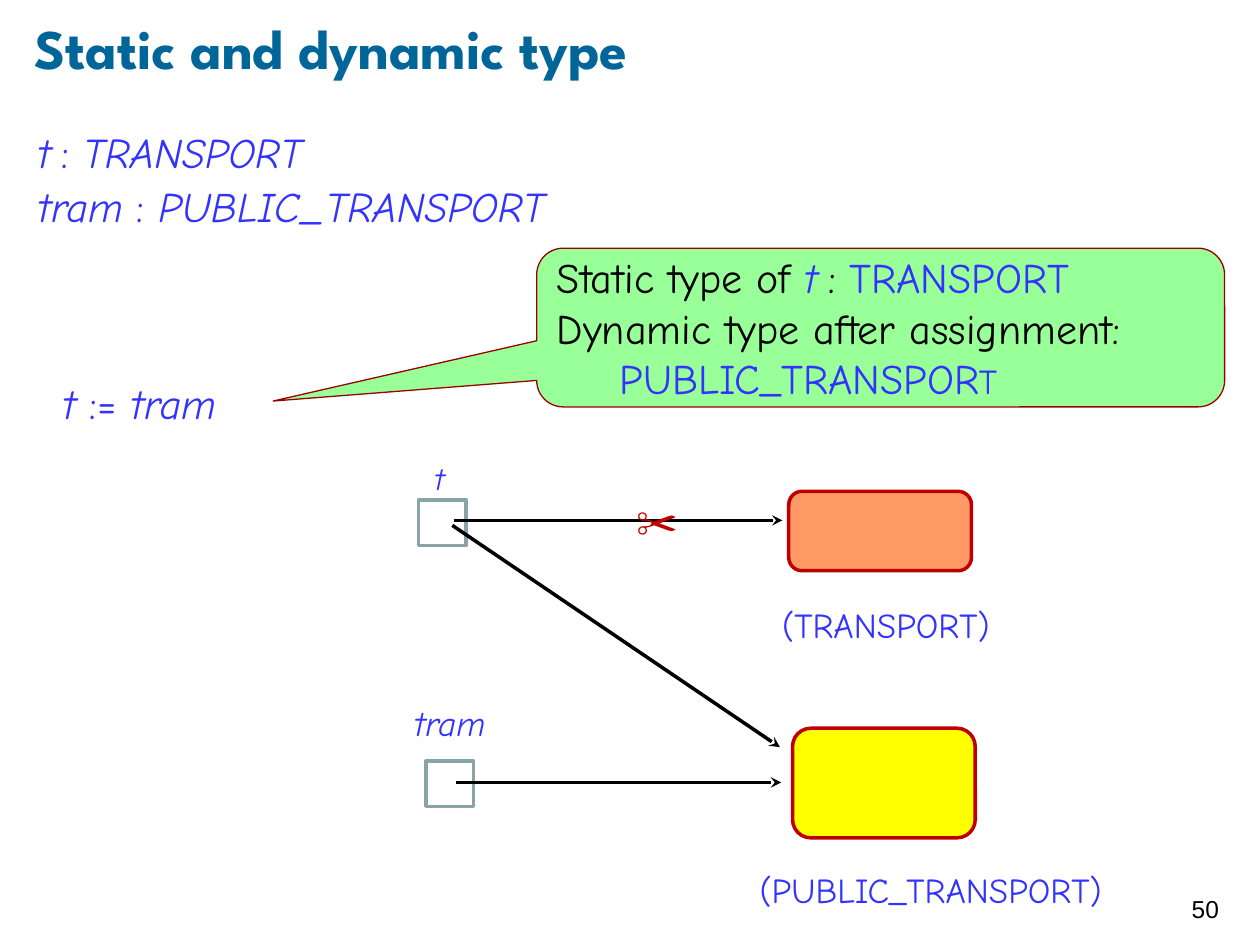
from dataclasses import dataclass

from lxml import etree
from pptx import Presentation, util as u
from pptx.dml.color import RGBColor
from pptx.enum import shapes as kinds, text as txt
from pptx.oxml.ns import qn

COLUMNS, ROWS = 100, 75
CELL = u.Inches(0.1)


@dataclass(frozen=True)
class Theme:
    heading: str = "League Spartan"
    body: str = "Comic Neue"
    footer: str = "Arial"
    title: str = "006699"
    code: str = "3333FF"
    ink: str = "000000"
    callout: str = "99FF99"
    callout_edge: str = "990000"
    accent: str = "C00000"
    reference: str = "89A4A6"
    transport: str = "FF9966"
    public: str = "FFFF00"
    title_size: int = 32
    large: int = 24
    label: int = 20
    small: int = 18
    number: int = 14


THEME = Theme()


@dataclass(frozen=True)
class Box:
    col: float
    row: float
    cols: float
    rows: float

    def inner(self, col, row, cols, rows):
        return Box(self.col + col, self.row + row, cols, rows)

    def emu(self):
        return [round(n * CELL) for n in (self.col, self.row, self.cols, self.rows)]


def style(font, size=None, color=None, face=None, italic=None, bold=None):
    if size:
        font.size = u.Pt(size)
    if color:
        font.color.rgb = RGBColor.from_string(color)
    if face:
        font.name = face
    if italic is not None:
        font.italic = italic
    if bold is not None:
        font.bold = bold


def prepare(frame, inset=(0.1, 0.05), anchor=txt.MSO_ANCHOR.TOP):
    frame.word_wrap = True
    frame.auto_size = txt.MSO_AUTO_SIZE.NONE
    frame.vertical_anchor = anchor
    frame.margin_left = frame.margin_right = u.Inches(inset[0])
    frame.margin_top = frame.margin_bottom = u.Inches(inset[1])


def add_runs(paragraph, *runs):
    for words, look in runs:
        run = paragraph.add_run()
        run.text = words
        style(run.font, **look)


def place(placeholder, box):
    placeholder.left, placeholder.top, placeholder.width, placeholder.height = box.emu()


def add_label(slide, box, words, size=THEME.label, color=THEME.code, italic=None):
    frame = slide.shapes.add_textbox(*box.emu()).text_frame
    prepare(frame)
    label = frame.paragraphs[0]
    label.text = words
    style(label.font, size, color, THEME.body, italic)


def add_block(slide, box, kind, edge, weight, fill=None):
    block = slide.shapes.add_shape(kind, *box.emu())
    block.shadow.inherit = False
    if fill:
        block.fill.solid()
        block.fill.fore_color.rgb = RGBColor.from_string(fill)
    else:
        block.fill.background()
    block.line.color.rgb = RGBColor.from_string(edge)
    block.line.width = u.Pt(weight)
    return block


def add_arrow(slide, box, start, end):
    ends = [round(n * CELL) for col, row in (start, end)
            for n in (box.col + col, box.row + row)]
    arrow = slide.shapes.add_connector(kinds.MSO_CONNECTOR.STRAIGHT, *ends)
    arrow.line.color.rgb = RGBColor.from_string(THEME.ink)
    arrow.line.width = u.Pt(2)
    etree.SubElement(arrow.line._get_or_add_ln(), qn("a:tailEnd"), type="stealth")
    etree.SubElement(arrow._element.spPr, qn("a:effectLst"))


def title_region(slide, box):
    title = slide.shapes.title
    place(title, box)
    prepare(title.text_frame, (0, 0), txt.MSO_ANCHOR.MIDDLE)
    heading = title.text_frame.paragraphs[0]
    heading.text = "Static and dynamic type"
    heading.alignment = txt.PP_ALIGN.LEFT
    style(heading.font, THEME.title_size, THEME.title, THEME.heading, bold=True)


def declarations_region(slide, box):
    body = slide.placeholders[1]
    place(body, box)
    frame = body.text_frame
    prepare(frame)
    upright, slanted = {"italic": False}, {"italic": True}
    declarations = (
        (("t", slanted), (" ", {"italic": True, "size": THEME.small}),
         (":", upright), (" TRANSPORT", slanted)),
        (("tram ", slanted), (":", upright), (" PUBLIC_TRANSPORT", slanted)),
    )
    for index, runs in enumerate(declarations):
        declaration = frame.add_paragraph() if index else frame.paragraphs[0]
        properties = declaration._p.get_or_add_pPr()
        properties.set("marL", "0")
        properties.set("indent", "0")
        etree.SubElement(properties, qn("a:buNone"))
        declaration.line_spacing = 0.9
        declaration.space_before = u.Pt(4.8 * index)
        style(declaration.font, THEME.large, THEME.code, THEME.body)
        add_runs(declaration, *runs)


def assignment_region(slide, box):
    frame = slide.shapes.add_textbox(*box.emu()).text_frame
    prepare(frame)
    assignment = frame.paragraphs[0]
    style(assignment.font, THEME.large, THEME.code, THEME.body)
    add_runs(assignment, ("t ", {"italic": True}), (":=", {"italic": False}),
             (" tram", {"italic": True}))


def callout_region(slide, box):
    callout = add_block(slide, box, kinds.MSO_SHAPE.ROUNDED_RECTANGULAR_CALLOUT,
                        THEME.callout_edge, 0.75, THEME.callout)
    for index, value in enumerate((-0.883, 0.463, 0.167)):
        callout.adjustments[index] = value
    frame = callout.text_frame
    prepare(frame, anchor=txt.MSO_ANCHOR.MIDDLE)
    static, dynamic = frame.paragraphs[0], frame.add_paragraph()
    for paragraph in (static, dynamic):
        paragraph.alignment = txt.PP_ALIGN.LEFT
        style(paragraph.font, THEME.large, THEME.ink, THEME.body)
    code = {"color": THEME.code}
    variable = {"color": THEME.code, "italic": True}
    add_runs(static, ("Static type of ", {}), ("t", variable),
             (" ", {**variable, "size": THEME.small}), (": ", {}), ("TRANSPORT", code))
    add_runs(dynamic, ("Dynamic type after assignment:", {}))
    dynamic.add_line_break()
    add_runs(dynamic, ("\t", {}), ("PUBLIC_TRANSPOR", code),
             ("T", {**code, "size": THEME.label}))


def objects_region(slide, box):
    rounded = kinds.MSO_SHAPE.ROUNDED_RECTANGLE
    add_block(slide, box.inner(30.7, 3.1, 14.5, 6.3), rounded, THEME.accent, 2, THEME.transport)
    add_block(slide, box.inner(31, 21.9, 14.5, 8.7), rounded, THEME.accent, 2, THEME.public)
    add_label(slide, box.inner(29.2, 11.5, 21.3, 4.4), "(TRANSPORT)")
    add_label(slide, box.inner(27.4, 32.5, 33.2, 4.4), "(PUBLIC_TRANSPORT)")
    for col, row in ((1.3, 3.8), (1.9, 24.5)):
        add_block(slide, box.inner(col, row, 3.8, 3.6), kinds.MSO_SHAPE.RECTANGLE,
                  THEME.reference, 2)
    for start, end in (((4.1, 5.4), (30.2, 5.4)), ((4, 5.8), (30, 23.4)),
                       ((4.3, 26.2), (30.1, 26.2))):
        add_arrow(slide, box, start, end)
    add_label(slide, box.inner(1.6, 0, 4.1, 4), "t", THEME.small, italic=True)
    add_label(slide, box.inner(0, 19.3, 9.3, 4.4), "tram", italic=True)
    add_label(slide, box.inner(17.6, 3, 5.9, 5), "✂", THEME.large, THEME.accent)


def number_region(slide, box):
    frame = slide.shapes.add_textbox(*box.emu()).text_frame
    prepare(frame, (0.1, 0.1), txt.MSO_ANCHOR.MIDDLE)
    number = frame.paragraphs[0]
    number.text = "50"
    style(number.font, THEME.number, THEME.ink, THEME.footer)


def main():
    deck = Presentation()
    deck.slide_width, deck.slide_height = COLUMNS * CELL, ROWS * CELL
    slide = deck.slides.add_slide(deck.slide_layouts[1])
    title_region(slide, Box(2.7, 1.3, 86.9, 4.8))
    declarations_region(slide, Box(2, 10, 91.2, 10.4))
    objects_region(slide, Box(31.9, 35.9, 60.6, 36.9))
    assignment_region(slide, Box(4, 29.5, 25, 5))
    callout_region(slide, Box(42.6, 19.7, 54.6, 12.6))
    number_region(slide, Box(93.6, 69.3, 6, 5.7))
    deck.save("out.pptx")


if __name__ == "__main__":
    main()
